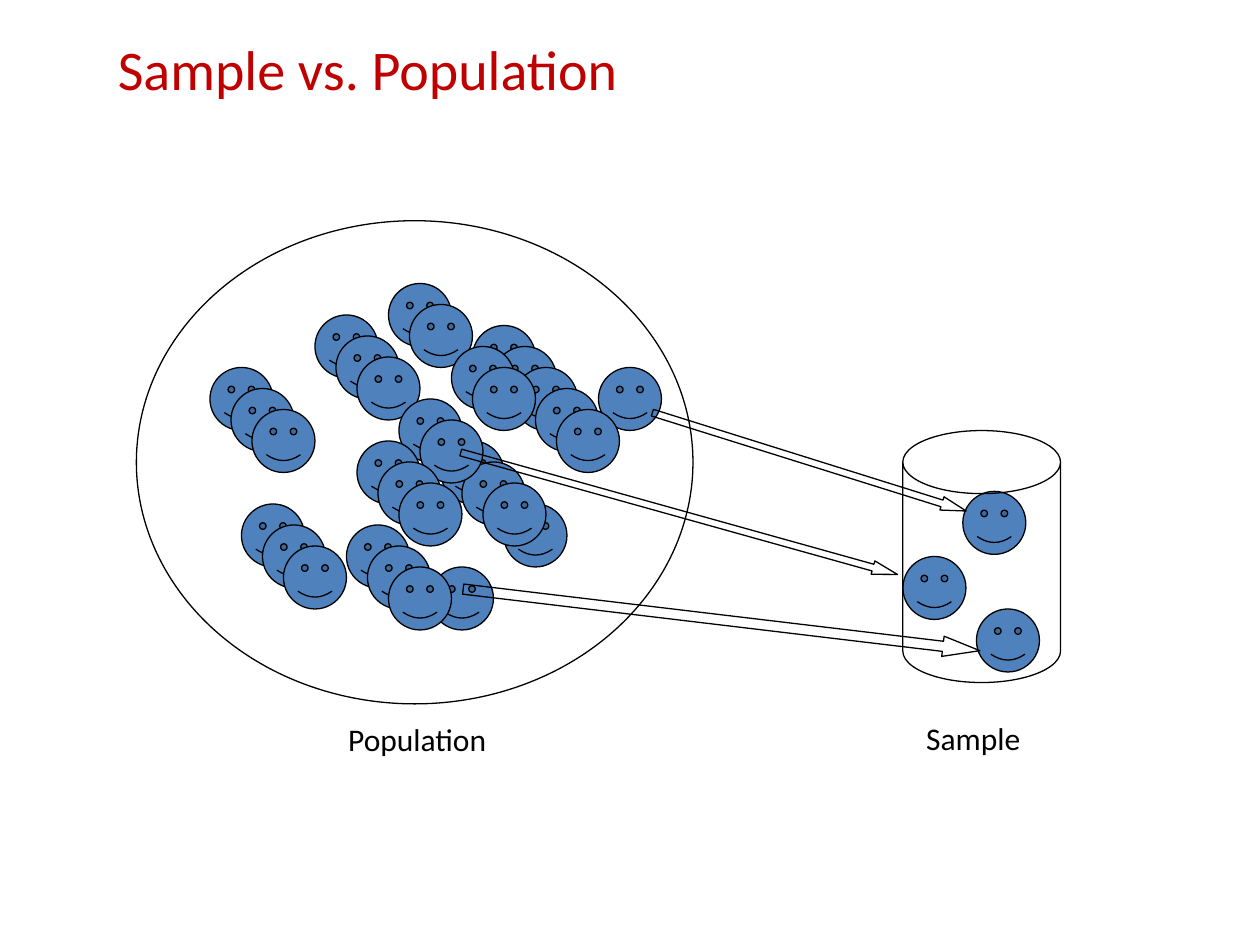
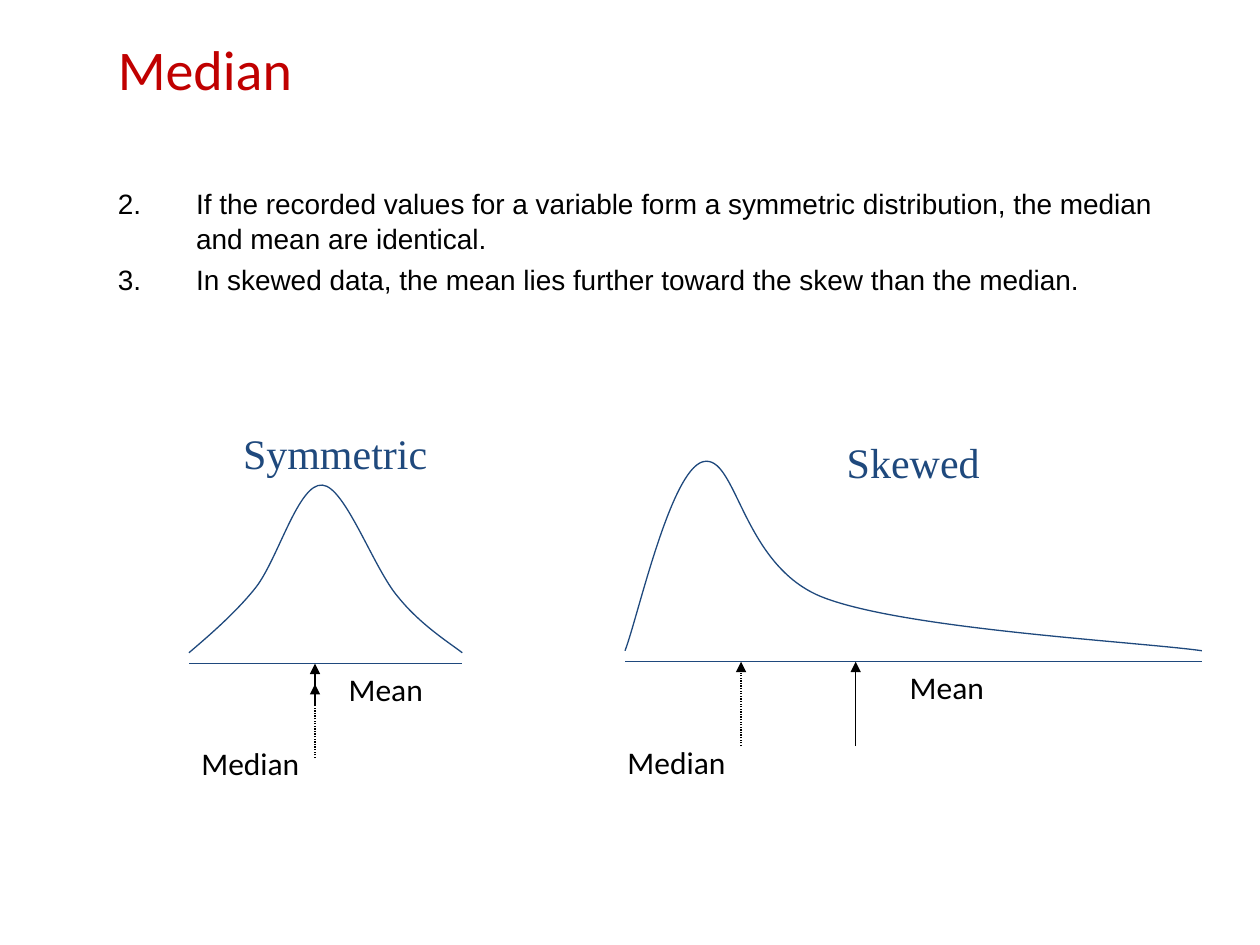
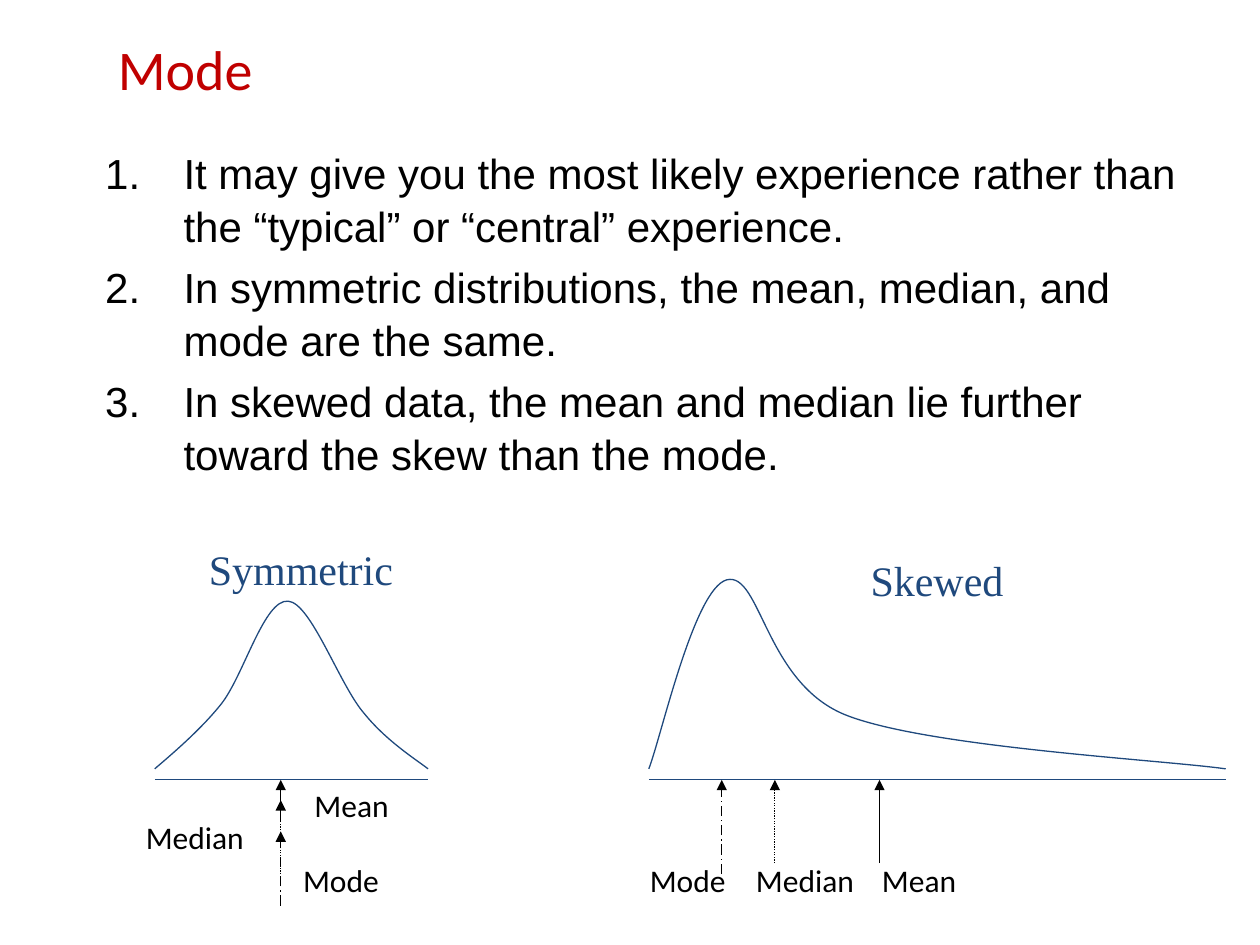
from lxml.etree import SubElement
from pptx import Presentation
from pptx.dml.color import RGBColor
from pptx.enum.dml import MSO_LINE
from pptx.enum.shapes import MSO_CONNECTOR, MSO_SHAPE
from pptx.enum.text import MSO_ANCHOR, MSO_AUTO_SIZE, PP_ALIGN
from pptx.oxml.ns import qn
from pptx.util import Cm, Pt

RED, NAVY, BLUE, BLACK = "C00000", "1F497D", "4F81BD", "000000"
TITLE_ONLY, TITLE_AND_BODY = 5, 1
GRID = 2.54 / 12
FACE_SIZE = 6 * GRID
CURVE_GAP = 0.22
LABEL_WIDTHS = {"Mean": 3.38, "Median": 3.61, "Mode": 2.74}
MARKER_DASHES = {"Median": MSO_LINE.ROUND_DOT, "Mode": MSO_LINE.LONG_DASH_DOT}

FACE_CHAINS = [
    (48, 48, 1), (41, 54, 1), (57, 35, 1), (30, 30, 3), (37, 27, 2),
    (45, 31, 5), (43, 33, 2), (42, 42, 3), (38, 38, 2), (34, 42, 3),
    (20, 35, 3), (23, 48, 3), (33, 50, 3),
    (91.7, 46.8, 1), (86, 53, 1), (93, 58, 1),
]
SAMPLING_ARROWS = [
    ((13, 9.17, 6.63, 0.28), 197.4),
    ((9.12, 10.21, 9.14, 0.28), 195.6),
    ((9.3, 12.29, 10.49, 0.41), 186.8),
]
SYMMETRIC = {
    "name": "Symmetric", "heading": (0.84, -4.88), "width": 5.51,
    "curve": [
        (0, 0), (0.23, 0.2), (0.91, 0.76), (1.35, 1.32),
        (1.8, 1.9), (2.21, 3.43), (2.69, 3.38),
        (3.15, 3.35), (3.73, 1.68), (4.22, 1.12),
        (4.67, 0.56), (5.28, 0.18), (5.51, 0),
    ],
}
SKEWED = {
    "name": "Skewed", "heading": (4.22, -4.66), "width": 11.63,
    "curve": [
        (0, 0), (0.25, 0.64), (0.91, 3.63), (1.57, 3.81),
        (2.26, 3.99), (2.34, 1.7), (4.01, 1.07),
        (5.69, 0.43), (10.36, 0.18), (11.63, 0),
    ],
}


def color(hex_code):
    return RGBColor.from_string(hex_code)


def write(paragraph, text, size=18, font="Calibri", ink=BLACK, align=PP_ALIGN.LEFT):
    paragraph.alignment = align
    run = paragraph.add_run()
    run.text = text
    run.font.size = Pt(size)
    run.font.name = font
    run.font.color.rgb = color(ink)


def place(shape, left, top, width, height):
    shape.left, shape.top, shape.width, shape.height = map(Cm, (left, top, width, height))


def outline(shape, ink=BLACK):
    shape.line.color.rgb = color(ink)
    shape.line.width = Pt(0.75)


def add_slide(deck, layout, heading):
    slide = deck.slides.add_slide(deck.slide_layouts[layout])
    title = slide.shapes.title
    place(title, 2.12, 0.42, 22.23, 1.9)
    title.text_frame.vertical_anchor = MSO_ANCHOR.MIDDLE
    write(title.text_frame.paragraphs[0], heading, size=32, ink=RED)
    return slide


def add_label(slide, text, left, top, width, height=1.02, **text_format):
    label = slide.shapes.add_textbox(*map(Cm, (left, top, width, height)))
    label.text_frame.word_wrap = True
    label.text_frame.auto_size = MSO_AUTO_SIZE.SHAPE_TO_FIT_TEXT
    write(label.text_frame.paragraphs[0], text, **text_format)


def add_figure(slide, preset, box, fill=None, rotation=0, adjustments=()):
    figure = slide.shapes.add_shape(preset, *map(Cm, box))
    figure.shadow.inherit = False
    figure.rotation = rotation
    for index, value in enumerate(adjustments):
        figure.adjustments[index] = value
    if fill:
        figure.fill.solid()
        figure.fill.fore_color.rgb = color(fill)
    else:
        figure.fill.background()
    outline(figure)


def add_line(slide, start, end, ink=BLACK, dash=None, arrow=False):
    line = slide.shapes.add_connector(MSO_CONNECTOR.STRAIGHT, *map(Cm, start + end))
    outline(line, ink)
    if dash:
        line.line.dash_style = dash
    properties = line._element.spPr
    if arrow:
        SubElement(properties.find(qn("a:ln")), qn("a:tailEnd"), type="triangle")
    SubElement(properties, qn("a:effectLst"))


def add_curve(slide, left, base, points):
    start, *rest = [(Cm(left + x), Cm(base - y)) for x, y in points]
    builder = slide.shapes.build_freeform(*start)
    builder.add_line_segments(rest, close=False)
    curve = builder.convert_to_shape()
    curve.shadow.inherit = False
    curve.fill.background()
    outline(curve, NAVY)
    route = next(curve._element.iter(qn("a:path")))
    segments = route.findall(qn("a:lnTo"))
    for first in range(0, len(segments), 3):
        bezier = SubElement(route, qn("a:cubicBezTo"))
        for segment in segments[first:first + 3]:
            bezier.append(segment[0])
            route.remove(segment)


def add_numbered_list(slide, items, top, size, start=1, insets=None):
    body = slide.placeholders[1]
    place(body, 2.12, top, 22.43, 13.97)
    frame = body.text_frame
    frame.auto_size = MSO_AUTO_SIZE.NONE
    if insets:
        frame.margin_left, frame.margin_top = map(Cm, insets)
    for index, item in enumerate(items):
        paragraph = frame.add_paragraph() if index else frame.paragraphs[0]
        write(paragraph, item, size=size, font="Arial")
        paragraph.line_spacing = 1.05
        properties = paragraph._p.get_or_add_pPr()
        properties.set("marL", str(Cm(1.58)))
        properties.set("indent", str(-Cm(1.58)))
        SubElement(properties, qn("a:buFont"), typeface="Arial")
        SubElement(properties, qn("a:buAutoNum"), type="arabicPeriod", startAt=str(start))


def add_distribution(slide, kind, left, axis, markers):
    add_curve(slide, left, axis - CURVE_GAP, kind["curve"])
    add_line(slide, (left, axis), (left + kind["width"], axis), ink=NAVY)
    dx, dy = kind["heading"]
    add_label(slide, kind["name"], left + dx, axis + dy, 5.29, 1.27,
              size=24, font="Times New Roman", ink=NAVY)
    for measure, x, tail, tip, label_x, label_y in markers:
        add_line(slide, (left + x, axis + tail), (left + x, axis + tip),
                 dash=MARKER_DASHES.get(measure), arrow=True)
        add_label(slide, measure, left + label_x, axis + label_y, LABEL_WIDTHS[measure])


def add_population_slide(deck):
    slide = add_slide(deck, TITLE_ONLY, "Sample vs. Population")
    add_figure(slide, MSO_SHAPE.OVAL, (2.75, 4.45, 11.22, 9.74))
    for column, row, count in FACE_CHAINS:
        for step in range(0, 2 * count, 2):
            corner = ((column + step) * GRID, (row + step) * GRID)
            add_figure(slide, MSO_SHAPE.SMILEY_FACE, corner + (FACE_SIZE, FACE_SIZE), fill=BLUE)
    add_figure(slide, MSO_SHAPE.CAN, (18.2, 8.68, 3.18, 5.08), adjustments=(0.4,))
    for box, rotation in SAMPLING_ARROWS:
        add_figure(slide, MSO_SHAPE.LEFT_ARROW, box, rotation=rotation, adjustments=(0.5, 1.83))
    add_label(slide, "Population", 6.77, 14.4, 4.66)
    add_label(slide, "Sample", 18.42, 14.38, 2.75)


def add_median_slide(deck):
    slide = add_slide(deck, TITLE_AND_BODY, "Median")
    add_numbered_list(slide, [
        "If the recorded values for a variable form a symmetric distribution, "
        "the median and mean are identical.",
        "In skewed data, the mean lies further toward the skew than the median.",
    ], top=3.6, size=16, start=2)
    add_distribution(slide, SYMMETRIC, 3.81, 13.38, [
        ("Mean", 2.54, 0.84, 0, 2.97, 0),
        ("Median", 2.54, 1.9, 0.41, 0, 1.5),
    ])
    add_distribution(slide, SKEWED, 12.6, 13.34, [
        ("Mean", 4.65, 1.7, 0, 5.49, 0),
        ("Median", 2.34, 1.7, 0, -0.2, 1.52),
    ])


def add_mode_slide(deck):
    slide = add_slide(deck, TITLE_AND_BODY, "Mode")
    add_numbered_list(slide, [
        "It may give you the most likely experience rather than "
        "the “typical” or “central” experience.",
        "In symmetric distributions, the mean, median, and mode are the same.",
        "In skewed data, the mean and median lie further toward the skew than the mode.",
    ], top=2.92, size=24, insets=(0, 0))
    add_distribution(slide, SYMMETRIC, 3.12, 15.72, [
        ("Mean", 2.54, 0.84, 0, 2.97, 0),
        ("Median", 2.54, 1.9, 0.41, -0.43, 0.64),
        ("Mode", 2.54, 2.54, 1.04, 2.74, 1.52),
    ])
    add_distribution(slide, SKEWED, 13.08, 15.72, [
        ("Mean", 4.65, 1.68, 0, 4.45, 1.52),
        ("Median", 2.54, 1.68, 0, 1.91, 1.52),
        ("Mode", 1.47, 1.9, 0, -0.23, 1.52),
    ])


def main():
    deck = Presentation()
    deck.slide_width, deck.slide_height = Cm(25.4), Cm(19.05)
    add_population_slide(deck)
    add_median_slide(deck)
    add_mode_slide(deck)
    deck.save("out.pptx")


if __name__ == "__main__":
    main()
